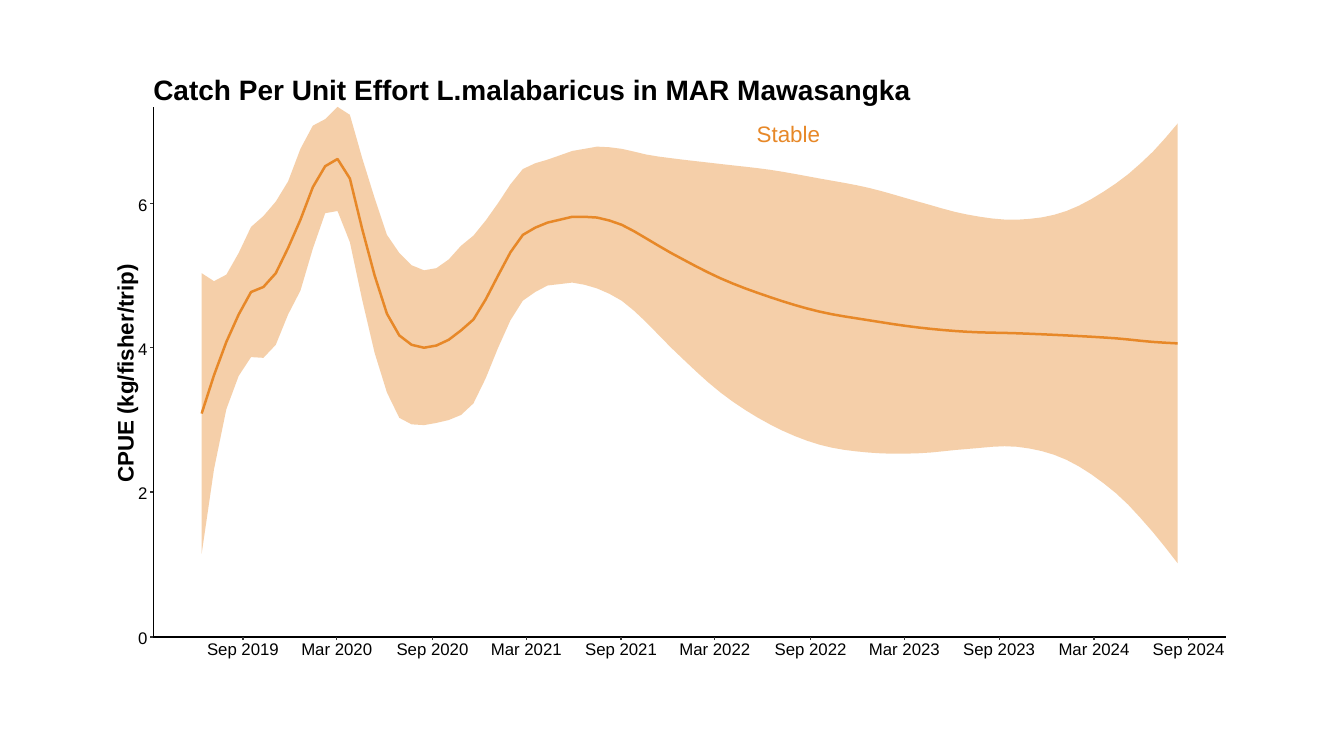
from itertools import pairwise

from lxml.etree import SubElement
from pptx import Presentation
from pptx.dml.color import RGBColor
from pptx.enum.shapes import MSO_CONNECTOR
from pptx.enum.text import MSO_ANCHOR, MSO_AUTO_SIZE, PP_ALIGN
from pptx.oxml.ns import qn
from pptx.util import Pt

PX = 9144  # EMU per px, 100 px to the inch
COLORS = {"orange": "E78828", "axis": "000000", "tick": "333333", "text": "000000"}

# Plot area and scales
LEFT, RIGHT, TOP, BASE = 152, 1216, 106, 632
PX_PER_KG = 71.75
FIRST_X, LAST_X = 200, 1168
LAST_STEP = 79
PX_PER_STEP = (LAST_X - FIRST_X) / LAST_STEP
SEP_2019_X = 241
PX_PER_DAY = 0.5134
TICK = 3

# Time step: (CPUE in kg, half width of the confidence band in kg).
# Knots are dense where the trend bends and sparse where it is smooth.
cpue = {
    0: (3.09, 1.94), 1: (3.62, 1.30), 2: (4.08, 0.93), 3: (4.46, 0.85),
    4: (4.77, 0.90), 5: (4.84, 0.98), 6: (5.03, 0.99), 7: (5.38, 0.92),
    8: (5.77, 0.98), 9: (6.22, 0.85), 10: (6.51, 0.65), 11: (6.61, 0.72),
    12: (6.34, 0.88), 13: (5.64, 0.98), 14: (5.00, 1.07), 15: (4.47, 1.09),
    16: (4.17, 1.14), 17: (4.04, 1.10), 18: (4.00, 1.07), 19: (4.03, 1.07),
    20: (4.11, 1.11), 21: (4.24, 1.17), 22: (4.39, 1.16), 23: (4.67, 1.09),
    24: (5.00, 1.00), 25: (5.32, 0.94), 26: (5.56, 0.91), 27: (5.66, 0.89),
    28: (5.73, 0.87), 29: (5.77, 0.89), 30: (5.81, 0.91), 31: (5.81, 0.94),
    32: (5.80, 0.98), 34: (5.70, 1.05), 36: (5.51, 1.16), 38: (5.31, 1.31),
    42: (4.96, 1.58), 46: (4.70, 1.76), 50: (4.50, 1.84), 54: (4.38, 1.83),
    58: (4.28, 1.74), 62: (4.22, 1.62), 66: (4.20, 1.57), 70: (4.17, 1.72),
    74: (4.13, 2.14), 77: (4.08, 2.63), LAST_STEP: (4.06, 3.04)}

prs = Presentation()
prs.slide_width, prs.slide_height = 1333 * PX, 750 * PX
s = prs.slides.add_slide(prs.slide_layouts[5])


def add_label(text, box, size, color="text", bold=False, sp=None):
    """Write one line of text in a new box, or in the given shape."""
    x, y, w, h = [n * PX for n in box]
    sp = sp or s.shapes.add_textbox(x, y, w, h)
    sp.left, sp.top, sp.width, sp.height = x, y, w, h
    tf = sp.text_frame
    tf.text = text
    tf.word_wrap = False
    tf.auto_size = MSO_AUTO_SIZE.NONE
    tf.vertical_anchor = MSO_ANCHOR.TOP
    p = tf.paragraphs[0]
    p.alignment = PP_ALIGN.CENTER
    font = p.runs[0].font
    font.name, font.size, font.bold = "Arial", Pt(size), bold
    font.color.rgb = RGBColor.from_string(COLORS[color])
    return sp


def add_rule(x1, y1, x2, y2, color):
    """Draw one straight axis or tick line."""
    line = s.shapes.add_connector(
        MSO_CONNECTOR.STRAIGHT, x1 * PX, y1 * PX, x2 * PX, y2 * PX)
    line.line.width = Pt(0.89)
    line.line.color.rgb = RGBColor.from_string(COLORS[color])
    SubElement(line._element.spPr, qn("a:effectLst"))


# Slope at each knot, taken from its two neighbours
knots = list(cpue)
slopes = {}
for i, knot in enumerate(knots):
    before, after = knots[max(i - 1, 0)], knots[min(i + 1, len(knots) - 1)]
    slopes[knot] = [(b - a) / (after - before)
                    for a, b in zip(cpue[before], cpue[after])]

# Fill the steps between knots with a cubic Hermite curve
series = [cpue[0]]
for start, end in pairwise(knots):
    gap = end - start
    for step in range(start + 1, end + 1):
        t = (step - start) / gap
        series.append([
            (1 + 2 * t) * (1 - t) ** 2 * v0 + t * (1 - t) ** 2 * gap * m0
            + t ** 2 * (3 - 2 * t) * v1 - t ** 2 * (1 - t) * gap * m1
            for v0, v1, m0, m1 in zip(
                cpue[start], cpue[end], slopes[start], slopes[end])])

# Map the values to points on the slide, in EMU
upper, trend_line, lower = [
    [((FIRST_X + step * PX_PER_STEP) * PX,
      (BASE - (value + side * margin) * PX_PER_KG) * PX)
     for step, (value, margin) in enumerate(series)]
    for side in (1, 0, -1)]

# Confidence band and trend curve
outlines = []
for points, closed in ((upper + lower[::-1], True), (trend_line, False)):
    builder = s.shapes.build_freeform(*points[0])
    builder.add_line_segments(points[1:], close=closed)
    sp = builder.convert_to_shape()
    sp.shadow.inherit = False
    outlines.append(sp)
band, trend = outlines

band.fill.solid()
band.fill.fore_color.rgb = RGBColor.from_string(COLORS["orange"])
band_color = band._element.spPr.find(qn("a:solidFill"))[0]
SubElement(band_color, qn("a:alpha")).set("val", "40000")
band.line.fill.background()

trend.fill.background()
trend.line.width = Pt(1.78)
trend.line.color.rgb = RGBColor.from_string(COLORS["orange"])

add_label("Stable", (740, 114, 84, 37), 16, "orange")

# Y axis
add_rule(LEFT, BASE, LEFT, TOP, "axis")
for kg in range(0, 8, 2):
    y = round(BASE - kg * PX_PER_KG)
    add_rule(LEFT - TICK, y, LEFT, y, "tick")
    add_label(str(kg), (127, y - 14, 29, 30), 12)

# X axis, with a tick every half year
add_rule(LEFT, BASE, RIGHT, BASE, "axis")
days = 0
for half_year in range(11):
    is_sep = half_year % 2 == 0
    year = 2019 + (half_year + 1) // 2
    x = round(SEP_2019_X + days * PX_PER_DAY)
    add_rule(x, BASE + TICK, x, BASE, "tick")
    add_label(f"{'Sep' if is_sep else 'Mar'} {year}", (x - 46, 629, 92, 30), 12)
    if is_sep:
        days += 182 if (year + 1) % 4 == 0 else 181  # leap day before March
    else:
        days += 184

# Axis title and slide title
axis_title = add_label("CPUE (kg/fisher/trip)", (4, 352, 240, 37), 16, bold=True)
axis_title.rotation = 270
title = add_label("Catch Per Unit Effort L.malabaricus in MAR Mawasangka",
                  (142, 67, 777, 44), 20, bold=True, sp=s.shapes.title)
title.text_frame.paragraphs[0].alignment = PP_ALIGN.LEFT

prs.save("out.pptx")
